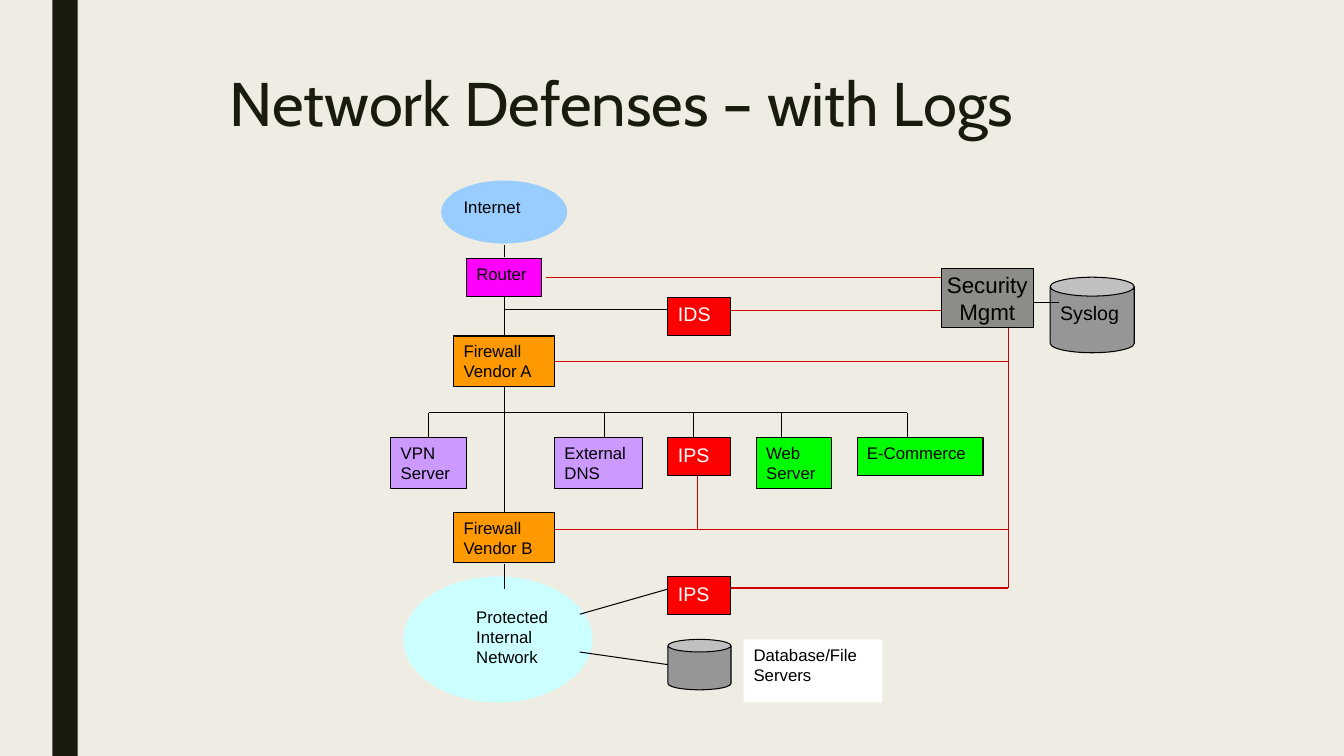
from lxml.etree import SubElement
from pptx import Presentation
from pptx.dml.color import RGBColor
from pptx.enum.shapes import MSO_CONNECTOR as LINK, MSO_SHAPE as SHAPE
from pptx.enum.text import MSO_ANCHOR as ANCHOR, PP_ALIGN as ALIGN
from pptx.oxml.ns import qn
from pptx.util import Inches, Pt

COLORS = {
    "paper": "EFEDE3", "ink": "191B0E", "black": "000000", "white": "FFFFFF",
    "magenta": "FF00FF", "orange": "FF9900", "violet": "CC99FF", "red": "FF0000",
    "green": "00FF00", "aqua": "CCFFFF", "sky": "99CCFF", "gray": "969696",
    "stone": "8C8D86", "log": "CC0000",
}
CELL = 0.125
BUS_ROW, SERVER_ROW = 32.75, 34.75
TRUNK_COL, LOG_COL = 40, 80


def color(name):
    """Return the named palette colour."""
    return RGBColor.from_string(COLORS[name])


def cells(*counts):
    """Turn grid counts into lengths."""
    return [Inches(count * CELL) for count in counts]


def write(paragraph, text, size, ink, font="Arial"):
    """Add one formatted run to a paragraph."""
    run = paragraph.add_run()
    run.text = text
    run.font.size = Pt(size)
    run.font.name = font
    run.font.color.rgb = color(ink)


def add_node(slide, grid, fill, text="", size=12, ink="black", kind=SHAPE.RECTANGLE,
             outlined=True, centered=False):
    """Add a device, cloud or label to the diagram."""
    node = slide.shapes.add_shape(kind, *cells(*grid))
    node.shadow.inherit = False
    node.fill.solid()
    node.fill.fore_color.rgb = color(fill)
    if outlined:
        node.line.color.rgb = color("black")
        node.line.width = Pt(0.75)
    else:
        node.line.fill.background()
    frame = node.text_frame
    frame.word_wrap = not centered
    frame.vertical_anchor = ANCHOR.MIDDLE if centered else ANCHOR.TOP
    for index, row in enumerate(text.split("\n") if text else []):
        paragraph = frame.add_paragraph() if index else frame.paragraphs[0]
        paragraph.alignment = ALIGN.CENTER if centered else ALIGN.LEFT
        write(paragraph, row, size, ink)


def add_link(slide, ends, ink="black"):
    """Add a straight line between two grid points."""
    link = slide.shapes.add_connector(LINK.STRAIGHT, *cells(*ends))
    link.line.color.rgb = color(ink)
    link.line.width = Pt(0.75)
    SubElement(link._element.spPr, qn("a:effectLst"))


def add_title(slide, text):
    """Place and format the title."""
    title = slide.shapes.title
    title.left, title.top, title.width, title.height = cells(17.44, 5.44, 72.64, 10)
    frame = title.text_frame
    frame.word_wrap = True
    frame.vertical_anchor = ANCHOR.TOP
    heading = frame.paragraphs[0]
    heading.alignment = ALIGN.LEFT
    heading.line_spacing = 0.89
    write(heading, text, 44, "ink", "Cabin")


def add_nodes(slide):
    """Add the clouds, devices, servers and stores."""
    for grid, fill in (((35, 14.33, 10, 5), "sky"), ((32, 45.75, 15, 10), "aqua")):
        add_node(slide, grid, fill, kind=SHAPE.OVAL, outlined=False)
    for grid, fill, text in (
        ((36, 15.25, 8, 2), "sky", "Internet"),
        ((37, 47.75, 8, 6), "aqua", "Protected Internal Network"),
        ((59, 50.75, 11, 5), "white", "Database/File Servers"),
    ):
        add_node(slide, grid, fill, text, outlined=False)
    for grid, fill, text in (
        ((37, 20.5, 6, 3), "magenta", "Router"),
        ((36, 26.67, 8, 4), "orange", "Firewall\nVendor A"),
        ((36, 40.67, 8, 4), "orange", "Firewall Vendor B"),
        ((31, SERVER_ROW, 6, 4), "violet", "VPN\nServer"),
        ((44, SERVER_ROW, 7, 4), "violet", "External DNS"),
        ((60, SERVER_ROW, 6, 4), "green", "Web Server"),
        ((68, SERVER_ROW, 10, 3), "green", "E-Commerce"),
    ):
        add_node(slide, grid, fill, text)
    for row, text in ((23.6, "IDS"), (SERVER_ROW, "IPS"), (45.75, "IPS")):
        add_node(slide, (53, row, 5, 3), "red", text, 14, "white")
    add_node(slide, (53, 50.75, 5, 4), "gray", kind=SHAPE.CAN)
    add_node(slide, (83.33, 22, 6.67, 6), "gray", "Syslog", 14, kind=SHAPE.CAN)
    add_node(slide, (74.67, 21.33, 7.33, 4.67), "stone", "Security\nMgmt", 16, centered=True)


def add_links(slide):
    """Add the network lines and the log lines."""
    for top, bottom in ((19.45, 20.4), (23.6, 26.6), (30.75, 40.75), (44.75, 46.75)):
        add_link(slide, (TRUNK_COL, top, TRUNK_COL, bottom))
    drops = (34, 48, 55, 62, 72)
    add_link(slide, (drops[0], BUS_ROW, drops[-1], BUS_ROW))
    for drop in drops:
        add_link(slide, (drop, BUS_ROW, drop, SERVER_ROW))
    for ends in (
        (46, 48.75, 53, 46.75),
        (46, 51.75, 53, 52.75),
        (TRUNK_COL, 24.6, 53, 24.6),
        (82, 24, 84, 24),
    ):
        add_link(slide, ends)
    for start, end, row in (
        (43.33, 74.67, 22),
        (58, 74.67, 24.67),
        (44, LOG_COL, 28.67),
        (44, LOG_COL, 42),
        (58, LOG_COL, 46.67),
    ):
        add_link(slide, (start, row, end, row), "log")
    add_link(slide, (55.33, 37.33, 55.33, 42), "log")
    add_link(slide, (LOG_COL, 46.67, LOG_COL, 26), "log")


def main():
    """Build and save the network defenses slide."""
    deck = Presentation()
    deck.slide_width, deck.slide_height = Inches(13.33), Inches(7.5)
    slide = deck.slides.add_slide(deck.slide_layouts[5])
    slide.background.fill.solid()
    slide.background.fill.fore_color.rgb = color("paper")
    add_node(slide, (4.16, 0, 2, 60), "ink", outlined=False)
    add_title(slide, "Network Defenses – with Logs")
    add_nodes(slide)
    add_links(slide)
    deck.save("out.pptx")


if __name__ == "__main__":
    main()
